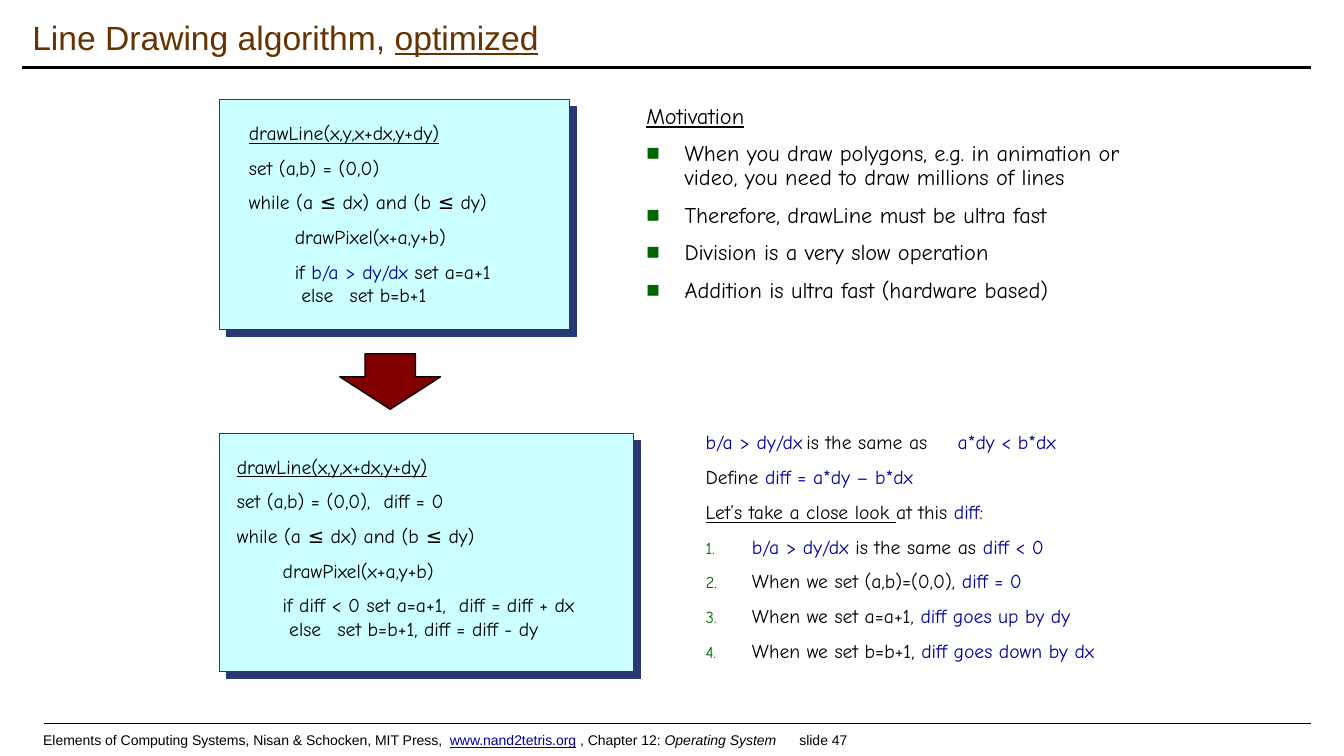
from dataclasses import dataclass

from lxml import etree
from pptx import Presentation
from pptx import util as u
from pptx.dml.color import RGBColor
from pptx.enum import shapes, text
from pptx.oxml.ns import qn

BLACK, BLUE, GREEN, NAVY = "000000", "000099", "006600", "293973"


@dataclass
class Run:
    text: str
    color: str = BLACK
    underline: bool = False
    italic: bool = False


@dataclass
class Line:
    runs: list[Run]
    bullet: str = ""
    tabs: tuple[float, ...] = ()


@dataclass
class CodePanel:
    top: float
    width: float
    height: float
    text_left: float
    text_top: float
    text_width: float
    lines: list[Line]


def rgb(color: str) -> RGBColor:
    return RGBColor.from_string(color)


def add_xml(parent, tag: str, **attrs):
    return etree.SubElement(parent, qn(tag), {k: str(v) for k, v in attrs.items()})


def add_bullet(p, bullet: str, hang: float, percent: int) -> None:
    ppr = p._p.get_or_add_pPr()
    ppr.set("marL", str(u.Inches(hang)))
    ppr.set("indent", str(-u.Inches(hang)))
    if not bullet:
        add_xml(ppr, "a:buNone")
        return
    add_xml(add_xml(ppr, "a:buClr"), "a:srgbClr", val=GREEN)
    add_xml(ppr, "a:buSzPct", val=percent * 1000)
    if bullet == "1.":
        add_xml(ppr, "a:buFont", typeface="Comic Neue")
        add_xml(ppr, "a:buAutoNum", type="arabicPeriod")
    else:
        add_xml(ppr, "a:buFont", typeface="Arial")
        add_xml(ppr, "a:buChar", char=bullet)


def write(sp, lines: list[Line], *, size: float, font: str = "Comic Neue",
          gap: float = 8, spacing: float = 1.0, hang: float = 0.46,
          bullet_percent: int = 100, hang_all: bool = False,
          anchor=text.MSO_ANCHOR.TOP) -> None:
    tf = sp.text_frame
    tf.word_wrap = True
    tf.auto_size = text.MSO_AUTO_SIZE.NONE
    tf.vertical_anchor = anchor
    for i, line in enumerate(lines):
        p = tf.add_paragraph() if i else tf.paragraphs[0]
        p.alignment = text.PP_ALIGN.LEFT
        p.line_spacing = spacing
        p.space_before = u.Pt(gap if i else 0)
        add_bullet(p, line.bullet, hang if line.bullet or hang_all else 0, bullet_percent)
        if line.tabs:
            stops = add_xml(p._p.get_or_add_pPr(), "a:tabLst")
            for stop in line.tabs:
                add_xml(stops, "a:tab", pos=u.Inches(stop), algn="l")
        for run in line.runs:
            for j, piece in enumerate(run.text.split("\n")):
                if j:
                    p.add_line_break()
                    add_xml(p._p[-1], "a:rPr", sz=int(size * 100))
                r = p.add_run()
                r.text = piece
                r.font.size, r.font.name = u.Pt(size), font
                r.font.color.rgb = rgb(run.color)
                r.font.bold = False
                r.font.underline, r.font.italic = run.underline, run.italic


def place(sp, left: float, top: float, width: float, height: float):
    sp.left, sp.top = u.Inches(left), u.Inches(top)
    sp.width, sp.height = u.Inches(width), u.Inches(height)
    return sp


def add_box(s, left: float, top: float, width: float, height: float):
    return s.shapes.add_textbox(*map(u.Inches, (left, top, width, height)))


def add_rule(s, left: float, y: float, weight: float) -> None:
    rule = s.shapes.add_connector(shapes.MSO_CONNECTOR.STRAIGHT,
                                  *map(u.Inches, (left, y, 13, y)))
    rule.line.color.rgb = rgb(BLACK)
    rule.line.width = u.Pt(weight)
    add_xml(rule._element.spPr, "a:effectLst")


def add_shape(s, kind, left: float, top: float, width: float, height: float,
              fill: str, line: str, weight: float):
    sp = s.shapes.add_shape(kind, *map(u.Inches, (left, top, width, height)))
    sp.shadow.inherit = False
    sp.fill.solid()
    sp.fill.fore_color.rgb = rgb(fill)
    sp.line.color.rgb = rgb(line)
    sp.line.width = u.Pt(weight)
    return sp


def add_panel(s, panel: CodePanel) -> None:
    sp = add_shape(s, shapes.MSO_SHAPE.RECTANGLE, 2.18, panel.top, panel.width,
                   panel.height, "CCFFFF", NAVY, 0.75)
    effects = sp._element.spPr.find(qn("a:effectLst"))
    shadow = add_xml(effects, "a:outerShdw", dist=u.Pt(7.1), dir=45 * 60000,
                     algn="ctr", rotWithShape=0)
    add_xml(shadow, "a:srgbClr", val=NAVY)
    write(add_box(s, panel.text_left, panel.text_top, panel.text_width, 2.2),
          panel.lines, size=14)


SIGNATURE = Line([Run("drawLine(x,y,x+dx,y+dy)", underline=True)])
LOOP = [Line([Run("while (a ≤ dx) and (b ≤ dy)")]),
        Line([Run("       drawPixel(x+a,y+b)")])]

PANELS = [
    CodePanel(0.99, 3.47, 2.28, 2.37, 1.15, 3.2, [
        SIGNATURE, Line([Run("set (a,b) = (0,0)")]), *LOOP,
        Line([Run("       if "), Run("b/a > dy/dx", BLUE),
              Run(" set a=a+1\n        else\tset b=b+1")], tabs=(1.87,))]),
    CodePanel(4.3, 4.1, 2.36, 2.25, 4.46, 4.02, [
        SIGNATURE, Line([Run("set (a,b) = (0,0),  diff = 0")]), *LOOP,
        Line([Run("       if diff < 0 set a=a+1,  diff = diff + dx\n"
                  "        else\tset b=b+1, diff = diff - dy")], tabs=(1.48,))]),
]

MOTIVATION = [Line([Run("Motivation", underline=True)])] + [
    Line([Run(point)], "■") for point in (
        "When you draw polygons, e.g. in animation or video, "
        "you need to draw millions of lines",
        "Therefore, drawLine must be ultra fast",
        "Division is a very slow operation",
        "Addition is ultra fast (hardware based)")]

DERIVATION = [
    Line([Run("b/a > dy/dx", BLUE), Run("\tis the same as"),
          Run("\ta*dy < b*dx", BLUE)], tabs=(1.22, 2.62)),
    Line([Run("Define "), Run("diff = a*dy – b*dx", BLUE)]),
    Line([Run("Let’s take a close look ", underline=True), Run("at this "),
          Run("diff", BLUE), Run(":")]),
    Line([Run("b/a > dy/dx", BLUE), Run(" is the same as "),
          Run("diff < 0", BLUE)], "1."),
] + [Line([Run(f"When we set {step}, "), Run(effect, BLUE)], "1.")
     for step, effect in (("(a,b)=(0,0)", "diff = 0"),
                          ("a=a+1", "diff goes up by dy"),
                          ("b=b+1", "diff goes down by dx"))]

FOOTER = Line([
    Run("Elements of Computing Systems, Nisan & Schocken, MIT Press,  "),
    Run("www.nand2tetris.org", BLUE, underline=True), Run(" , Chapter 12: "),
    Run("Operating System", italic=True), Run("\tslide 47")], tabs=(8.7,))


def main() -> None:
    prs = Presentation()
    prs.slide_width, prs.slide_height = u.Inches(13.33), u.Inches(7.5)
    s = prs.slides.add_slide(prs.slide_layouts[1])
    add_rule(s, 0.22, 0.67, 2)
    add_rule(s, 0.44, 7.18, 1)
    write(add_box(s, 0.33, 7.21, 12.67, 0.27), [FOOTER], size=10, font="Arial",
          anchor=text.MSO_ANCHOR.MIDDLE)
    write(place(s.shapes.title, 0.22, 0.08, 12.78, 0.58),
          [Line([Run("Line Drawing algorithm, ", "663300"),
                 Run("optimized", "663300", underline=True)])],
          size=24, font="Arial", anchor=text.MSO_ANCHOR.MIDDLE)
    write(place(s.placeholders[1], 6.31, 0.99, 5.01, 2.28), MOTIVATION,
          size=16, gap=9.5, spacing=0.9, hang=0.38, hang_all=True)
    write(add_box(s, 6.9, 4.22, 4.49, 2.52), DERIVATION, size=14, bullet_percent=85)
    for panel in PANELS:
        add_panel(s, panel)
    arrow = add_shape(s, shapes.MSO_SHAPE.DOWN_ARROW, 3.37, 3.51, 1, 0.55,
                      "800000", BLACK, 1)
    arrow.adjustments[1] = 0.585
    prs.save("out.pptx")


if __name__ == "__main__":
    main()
